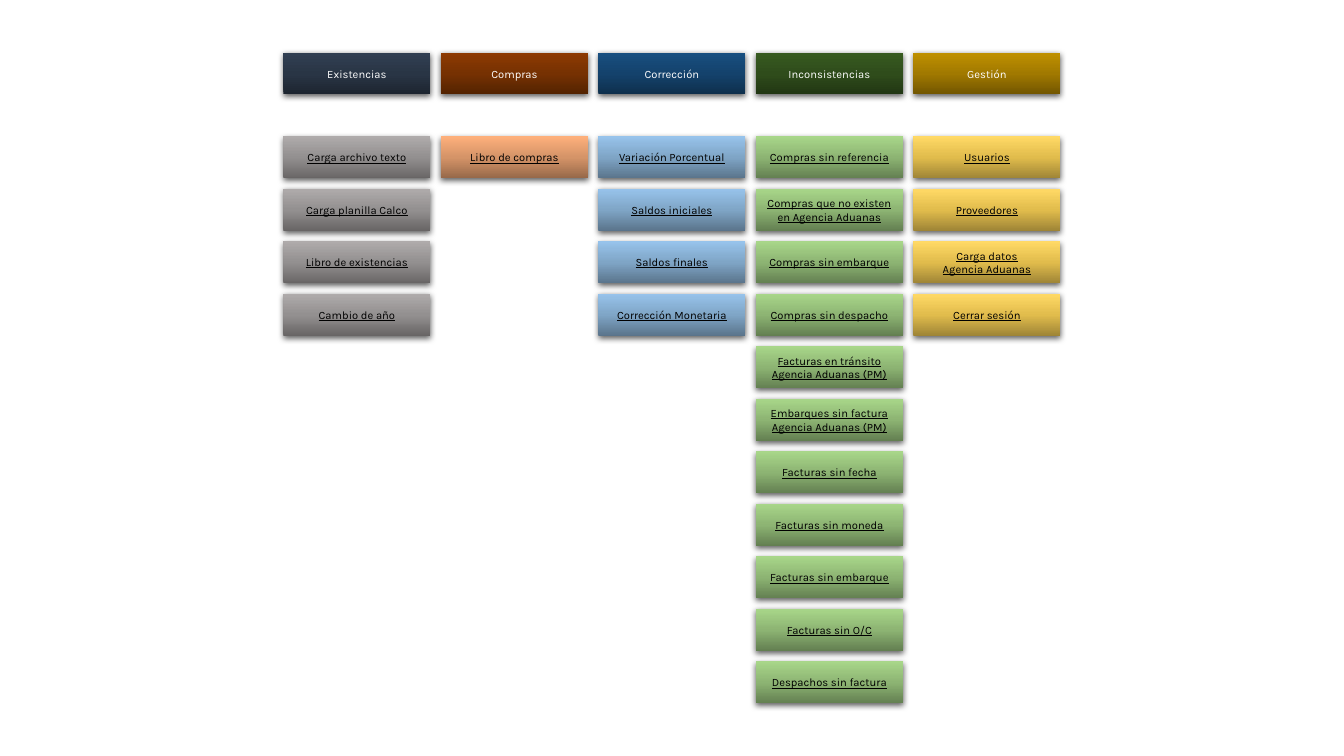
from lxml.etree import SubElement
from pptx import Presentation
from pptx.dml.color import RGBColor
from pptx.enum.shapes import MSO_SHAPE
from pptx.enum.text import MSO_ANCHOR, PP_ALIGN
from pptx.oxml.ns import qn
from pptx.util import Inches, Pt

RECT = MSO_SHAPE.RECTANGLE
MIDDLE = MSO_ANCHOR.MIDDLE
CENTER = PP_ALIGN.CENTER

MENUS = [
    ("Existencias", ("1D2530", "293545", "313F52"), ("686565", "939090", "AFABAB"),
     ["Carga archivo texto", "Carga planilla Calco", "Libro de existencias", "Cambio de año"]),
    ("Compras", ("532301", "763102", "8D3A02"), ("966849", "D59468", "FDAF7B"),
     ["Libro de compras"]),
    ("Corrección", ("0E2F4C", "14426C", "184F80"), ("5A748B", "7FA5C6", "97C3EB"),
     ["Variación Porcentual", "Saldos iniciales", "Saldos finales", "Corrección Monetaria"]),
    ("Inconsistencias", ("213613", "2F4C1B", "375A20"), ("637F51", "8DB473", "A8D689"),
     ["Compras sin referencia", "Compras que no existen en Agencia Aduanas",
      "Compras sin embarque", "Compras sin despacho",
      "Facturas en tránsito\nAgencia Aduanas (PM)",
      "Embarques sin factura\nAgencia Aduanas (PM)",
      "Facturas sin fecha", "Facturas sin moneda", "Facturas sin embarque",
      "Facturas sin O/C", "Despachos sin factura"]),
    ("Gestión", ("715500", "A17900", "BF9000"), ("9E8436", "E1BC4C", "FFD966"),
     ["Usuarios", "Proveedores", "Carga datos\nAgencia Aduanas", "Cerrar sesión"]),
]

SLIDE_COLS, SLIDE_ROWS = 128, 72
LEFT, COL_STEP, BOX_W = 27, 15, 14
HEAD_TOP, HEAD_H = 5.05, 3.95
ITEM_TOP, ROW_STEP, ITEM_H = 13, 5, 4


def rgb(value):
    return RGBColor.from_string(value)


def add_gradient(sp, colours):
    grad = SubElement(sp._element.spPr, qn("a:gradFill"), rotWithShape="1")
    stops = SubElement(grad, qn("a:gsLst"))
    for pos, colour in zip((0, 50000, 100000), colours):
        stop = SubElement(stops, qn("a:gs"), pos=str(pos))
        SubElement(stop, qn("a:srgbClr"), val=colour)
    SubElement(grad, qn("a:lin"), ang="16200000", scaled="0")


def add_shadow(sp):
    sp.shadow.inherit = False
    effects = sp._element.spPr.find(qn("a:effectLst"))
    shadow = SubElement(effects, qn("a:outerShdw"), blurRad=str(Pt(4.5)), dist=str(Pt(1.5)),
                        dir="5400000", algn="ctr", rotWithShape="0")
    colour = SubElement(shadow, qn("a:srgbClr"), val="000000")
    SubElement(colour, qn("a:alpha"), val="63000")


def add_box(s, col, top, height, text, colours, font_colour, underline):
    x, y, w, h = (int(n * unit) for n in (LEFT + col * COL_STEP, top, BOX_W, height))
    sp = s.shapes.add_shape(RECT, x, y, w, h)
    add_gradient(sp, colours)
    sp.line.fill.background()
    add_shadow(sp)
    tf = sp.text_frame
    tf.word_wrap = True
    tf.vertical_anchor = MIDDLE
    for i, line in enumerate(text.split("\n")):
        p = tf.add_paragraph() if i else tf.paragraphs[0]
        p.alignment = CENTER
        r = p.add_run()
        r.text = line
        r.font.name = "Karla"
        r.font.size = Pt(8)
        r.font.underline = underline
        r.font.color.rgb = rgb(font_colour)


prs = Presentation()
unit = Inches(7.5) / SLIDE_ROWS
prs.slide_width = int(unit * SLIDE_COLS)
prs.slide_height = Inches(7.5)
s = prs.slides.add_slide(prs.slide_layouts[6])

for col, (title, head_colours, item_colours, items) in enumerate(MENUS):
    add_box(s, col, HEAD_TOP, HEAD_H, title, head_colours, "FFFFFF", False)
    for row, item in enumerate(items):
        add_box(s, col, ITEM_TOP + row * ROW_STEP, ITEM_H, item, item_colours, "000000", True)

prs.save("out.pptx")
